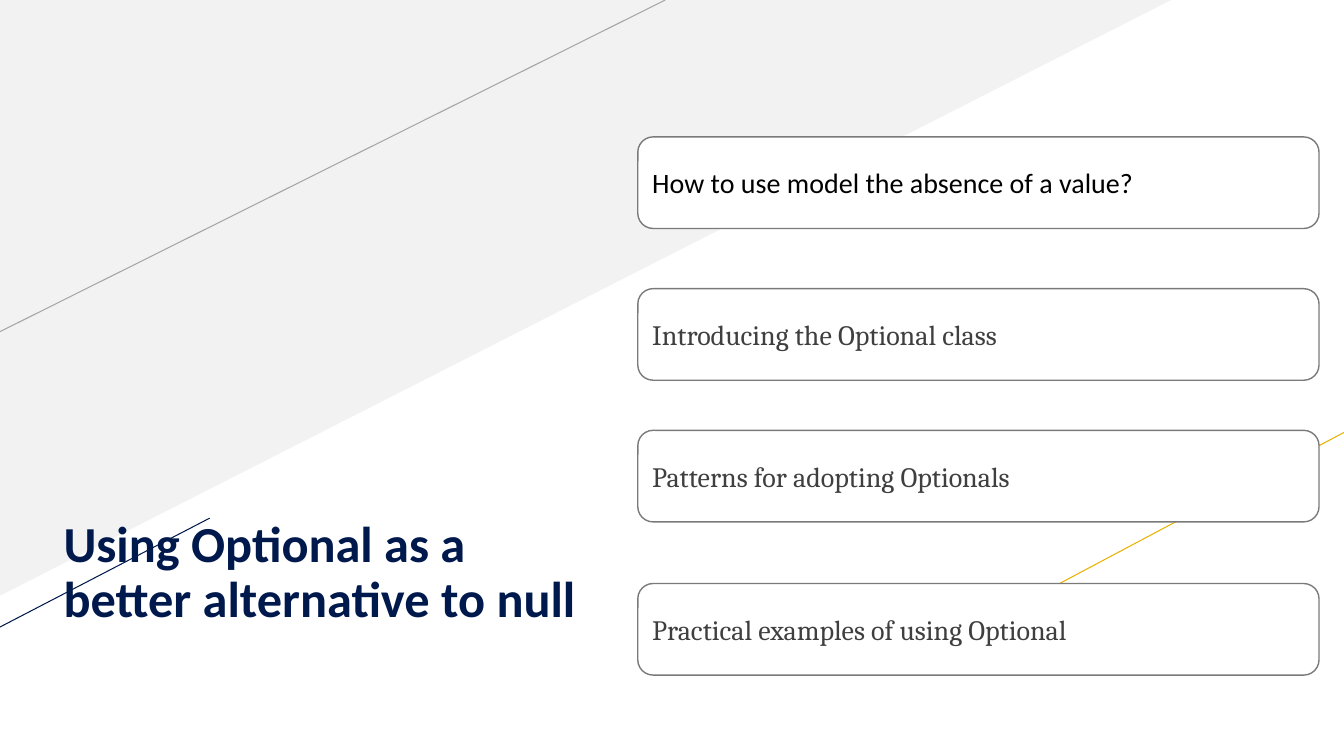
from pptx import Presentation
from pptx.dml.color import RGBColor
from pptx.enum.shapes import MSO_CONNECTOR as Connector, MSO_SHAPE as Shape
from pptx.enum.text import MSO_ANCHOR as Anchor, MSO_AUTO_SIZE as AutoSize, PP_ALIGN as Align
from pptx.oxml.ns import qn
from pptx.util import Pt
from lxml.etree import SubElement

NAVY, GOLD, GREY = "00194C", "EAB200", "A5A5A5"
PALE, WHITE, BORDER = "F2F2F2", "FFFFFF", "7A7A7A"
BLACK, CHARCOAL = "000000", "3F3F3F"


def color(hex_text):
    return RGBColor.from_string(hex_text)


def write(shape, text, size=20, font="Cambria", fill=CHARCOAL, bold=False,
          anchor=Anchor.MIDDLE, spacing=1.0, bottom=3.6):
    frame = shape.text_frame
    frame.word_wrap = True
    frame.auto_size = AutoSize.NONE
    frame.vertical_anchor = anchor
    frame.margin_left = frame.margin_right = Pt(7.2)
    frame.margin_top, frame.margin_bottom = Pt(3.6), Pt(bottom)
    paragraph = frame.paragraphs[0]
    paragraph.alignment = Align.LEFT
    paragraph.line_spacing = spacing
    run = paragraph.add_run()
    run.text = text
    run.font.size, run.font.name, run.font.bold = Pt(size), font, bold
    run.font.color.rgb = color(fill)


class AgendaSlide:
    def __init__(self, presentation):
        self.slide = presentation.slides.add_slide(presentation.slide_layouts[0])
        self.shapes = self.slide.shapes
        subtitle = self.slide.placeholders[1].element
        subtitle.getparent().remove(subtitle)

    def corner(self, width, height):
        triangle = self.shapes.add_shape(Shape.RIGHT_TRIANGLE, 0, 0, Pt(width), Pt(height))
        triangle.shadow.inherit = False
        triangle.fill.solid()
        triangle.fill.fore_color.rgb = color(PALE)
        triangle.line.fill.background()
        triangle.element.spPr.find(qn("a:xfrm")).set("flipV", "1")

    def line(self, start, end, stroke):
        connector = self.shapes.add_connector(
            Connector.STRAIGHT, *(Pt(value) for value in (*start, *end)))
        connector.line.color.rgb = color(stroke)
        connector.line.width = Pt(0.75)
        SubElement(connector.element.spPr, qn("a:effectLst"))

    def title(self, text, left, top, width, height):
        title = self.shapes.title
        title.left, title.top = Pt(left), Pt(top)
        title.width, title.height = Pt(width), Pt(height)
        title.element.getparent().append(title.element)
        write(title, text, size=36, font="Calibri", fill=NAVY, bold=True,
              anchor=Anchor.BOTTOM, spacing=0.9, bottom=0)

    def card(self, text, top, **text_format):
        card = self.shapes.add_shape(
            Shape.ROUNDED_RECTANGLE, Pt(455.6), Pt(top), Pt(486.6), Pt(65.4))
        card.shadow.inherit = False
        card.fill.solid()
        card.fill.fore_color.rgb = color(WHITE)
        card.line.color.rgb = color(BORDER)
        card.line.width = Pt(1)
        write(card, text, **text_format)


def main():
    presentation = Presentation()
    presentation.slide_width, presentation.slide_height = Pt(960), Pt(540)
    agenda = AgendaSlide(presentation)
    agenda.corner(836.6, 425.5)
    agenda.line((0, 236.9), (475.2, 0), GREY)
    agenda.line((709.2, 442.1), (960, 308.9), GOLD)
    agenda.line((-1.4, 448.6), (149.8, 370.1), NAVY)
    agenda.title("Using Optional as a better alternative to null", 38.2, 344.2, 386.6, 104.4)
    agenda.card("How to use model the absence of a value?", 97.8, font="Calibri", fill=BLACK)
    for text, top in (("Introducing the Optional class", 206.2),
                      ("Patterns for adopting Optionals", 307.4),
                      ("Practical examples of using Optional", 416.8)):
        agenda.card(text, top)
    presentation.save("out.pptx")


if __name__ == "__main__":
    main()
